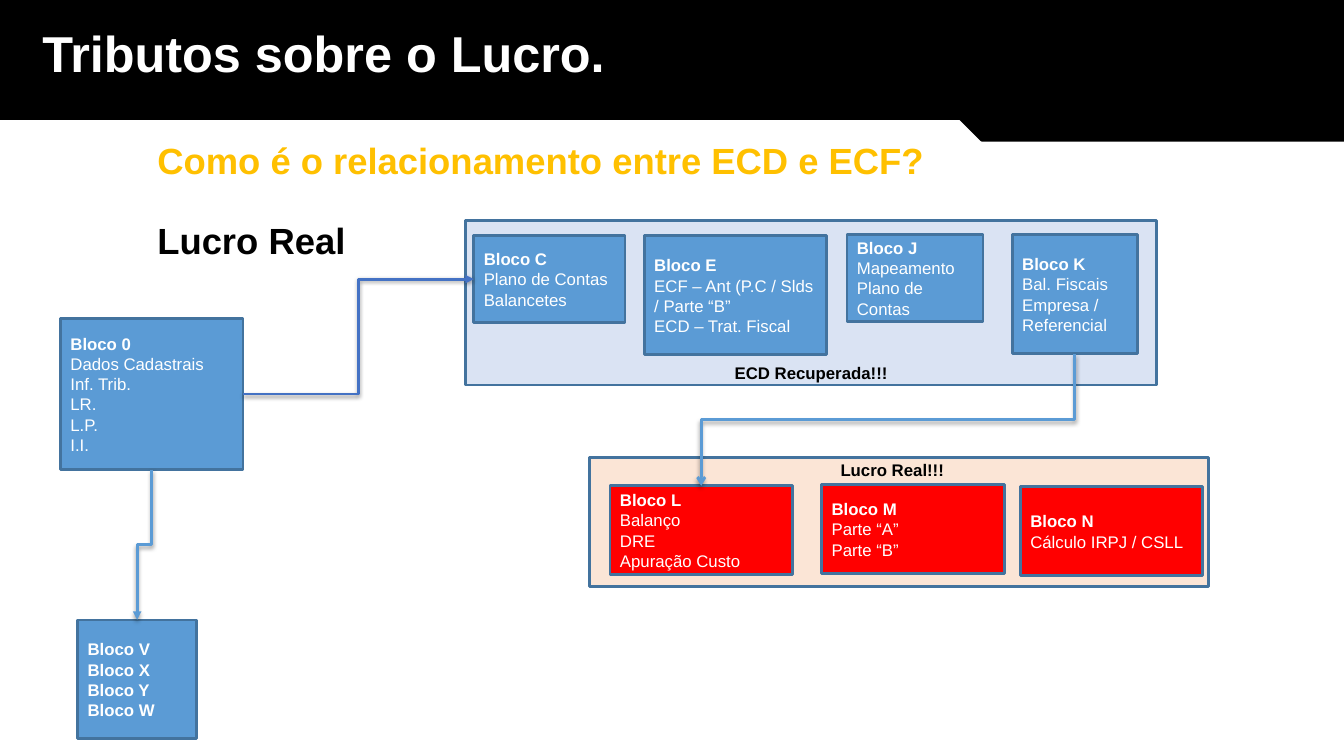
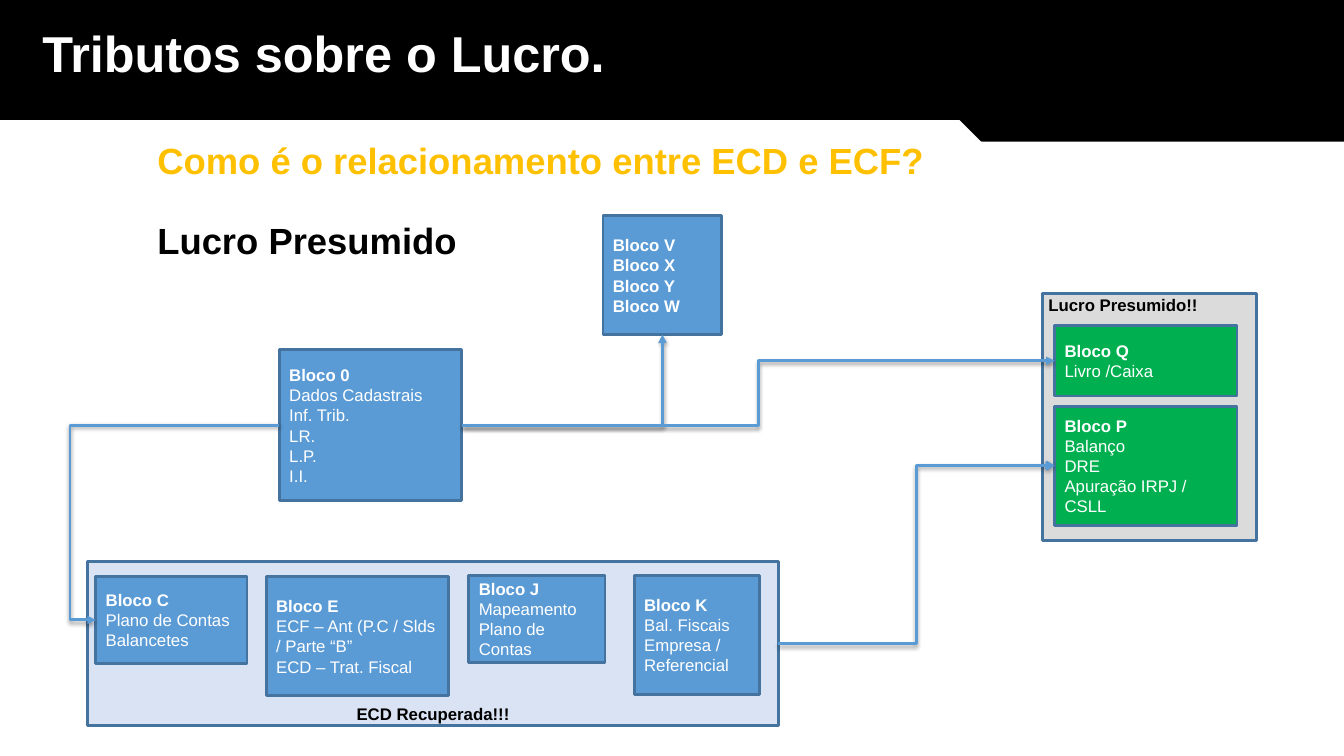
from dataclasses import dataclass

from lxml.etree import SubElement
from pptx import Presentation
from pptx.dml.color import RGBColor
from pptx.enum.shapes import MSO_CONNECTOR, MSO_SHAPE
from pptx.enum.text import MSO_ANCHOR as Anchor, MSO_AUTO_SIZE, PP_ALIGN as Align
from pptx.oxml.ns import qn
from pptx.util import Inches, Pt

TOP, LEFT, BOTTOM, RIGHT = range(4)  # connection sites of a rectangle


@dataclass(frozen=True)
class Theme:
    font: str = "Arial"
    black: str = "000000"
    white: str = "FFFFFF"
    gold: str = "FFC000"
    blue: str = "5B9BD5"
    royal: str = "4472C4"
    outline: str = "43739E"
    pale_blue: str = "DAE3F3"
    peach: str = "FBE5D6"
    gray: str = "DBDBDB"
    red: str = "FF0000"
    green: str = "00B050"
    title_size: int = 36
    subtitle_size: int = 26
    block_size: int = 12
    line: int = 2


THEME = Theme()
BLOCK_WIDTH = 1.81
REGISTRATION = ["Bloco 0", "Dados Cadastrais", "Inf. Trib.", "LR.", "L.P.", "I.I."]
OTHER_BLOCKS = ["Bloco V", "Bloco X", "Bloco Y", "Bloco W"]
# Offset inside the panel, size and lines of each recovered block
RECOVERED = [
    (0.08, 0.15, 1.5, 0.86, ["Bloco C", "Plano de Contas", "Balancetes"]),
    (1.77, 0.15, BLOCK_WIDTH, 1.18,
     ["Bloco E", "ECF – Ant (P.C / Slds / Parte “B”", "ECD – Trat. Fiscal"]),
    (3.78, 0.14, 1.35, 0.86, ["Bloco J", "Mapeamento Plano de Contas"]),
    (5.42, 0.14, 1.24, 1.18, ["Bloco K", "Bal. Fiscais", "Empresa / Referencial"]),
]


def place(shape, left, top, width, height):
    shape.left, shape.top = Inches(left), Inches(top)
    shape.width, shape.height = Inches(width), Inches(height)


def style(para, size, color, bold=True, align=Align.LEFT):
    para.alignment = align
    for span in para.runs:
        span.font.name = THEME.font
        span.font.size = Pt(size)
        span.font.bold = bold
        span.font.color.rgb = RGBColor.from_string(color)


def add_box(page, left, top, width, height, fill, line=THEME.outline, kind=MSO_SHAPE.RECTANGLE):
    box = page.shapes.add_shape(kind, *map(Inches, (left, top, width, height)))
    box.shadow.inherit = False
    box.fill.solid()
    box.fill.fore_color.rgb = RGBColor.from_string(fill)
    box.line.color.rgb = RGBColor.from_string(line)
    box.line.width = Pt(THEME.line)
    return box


def add_block(page, left, top, width, height, lines, fill=THEME.blue, bold_lines=1):
    box = add_box(page, left, top, width, height, fill)
    frame = box.text_frame
    frame.word_wrap = True
    frame.vertical_anchor = Anchor.MIDDLE
    frame.margin_top = frame.margin_bottom = 0
    frame.text = "\n".join(lines)
    for index, para in enumerate(frame.paragraphs):
        style(para, THEME.block_size, THEME.white, bold=index < bold_lines)
    return box


def add_other_blocks(page, left, top):
    return add_block(page, left, top, 1.18, 1.18, OTHER_BLOCKS, bold_lines=len(OTHER_BLOCKS))


def add_label(page, left, top, width, text, align):
    box = page.shapes.add_textbox(*map(Inches, (left, top, width, 0.3)))
    box.text_frame.word_wrap = True
    box.text_frame.text = text
    style(box.text_frame.paragraphs[0], THEME.block_size, THEME.black, align=align)


def add_recovered_panel(page, left, top):
    """Draw the recovered ECD panel; return the panel and its blocks."""
    panel = add_box(page, left, top, 6.85, 1.63, THEME.pale_blue)
    frame = panel.text_frame
    frame.vertical_anchor = Anchor.BOTTOM
    frame.margin_bottom = Inches(0.02)
    frame.text = "ECD Recuperada!!!"
    style(frame.paragraphs[0], THEME.block_size, THEME.black, align=Align.CENTER)
    blocks = [add_block(page, left + dx, top + dy, width, height, lines)
              for dx, dy, width, height, lines in RECOVERED]
    return panel, blocks


def turn_quarter(link):
    """Make an elbow that runs down and to the left leave vertically."""
    across, down = link.width, link.height
    center_x, center_y = link.left + across // 2, link.top + down // 2
    link.left, link.top = center_x - down // 2, center_y - across // 2
    link.width, link.height = down, across
    xfrm = link.element.spPr.find(qn("a:xfrm"))
    xfrm.attrib.pop("flipH", None)
    xfrm.set("rot", "5400000")


def add_shadow(link):
    effects = SubElement(link.element.spPr, qn("a:effectLst"))
    shadow = SubElement(effects, qn("a:outerShdw"), blurRad=str(Pt(3.1)),
                        dist=str(Pt(1.6)), dir="5400000", rotWithShape="0")
    color = SubElement(shadow, qn("a:srgbClr"), val=THEME.black)
    SubElement(color, qn("a:alpha"), val="38000")


def connect(page, source, source_side, target, target_side,
            color=THEME.blue, head="triangle", bend=None, single=False):
    """Join two boxes; bend is the share of the width at which the elbow turns."""
    link = page.shapes.add_connector(MSO_CONNECTOR.ELBOW, source.left, source.top,
                                     target.left, target.top)
    link.begin_connect(source, source_side)
    link.end_connect(target, target_side)
    if source_side == BOTTOM:
        turn_quarter(link)
    geometry = link.element.spPr.find(qn("a:prstGeom"))
    if single:
        geometry.set("prst", "bentConnector2")
    if bend is not None:
        SubElement(geometry.find(qn("a:avLst")), qn("a:gd"),
                   name="adj1", fmla=f"val {round(bend * 100000)}")
    link.line.color.rgb = RGBColor.from_string(color)
    link.line.width = Pt(THEME.line)
    SubElement(link.element.spPr.find(qn("a:ln")), qn("a:tailEnd"), type=head)
    add_shadow(link)


def prepare_layout(layout):
    for holder in list(layout.placeholders):
        if holder.placeholder_format.idx > 1:
            holder.element.getparent().remove(holder.element)
    title, subtitle = layout.placeholders
    place(title, 0.32, 0.31, 10, 0.56)
    place(subtitle, 0.96, 1.37, 11.44, 5.55)


def move_bands_to_layout(page):
    """Draw the black header once and hand it to the layout."""
    bands = [
        add_box(page, 0, 0, 13.33, 1.19, THEME.black, THEME.black),
        add_box(page, 9.51, 0.03, 3.82, 1.36, THEME.black, THEME.black,
                MSO_SHAPE.SNIP_1_RECTANGLE),
    ]
    bands[0].line.fill.background()
    bands[1].rotation = 180
    for band in bands:
        page.slide_layout.shapes.element.insert(2, band.element)


def add_page(deck, regime):
    page = deck.slides.add_slide(deck.slide_layouts[0])
    title, subtitle = page.placeholders
    title.text_frame.text = "Tributos sobre o Lucro."
    title.text_frame.vertical_anchor = Anchor.BOTTOM
    title.text_frame.auto_size = MSO_AUTO_SIZE.NONE
    style(title.text_frame.paragraphs[0], THEME.title_size, THEME.white)

    frame = subtitle.text_frame
    frame.text = f"Como é o relacionamento entre ECD e ECF?\n{regime}"
    frame.auto_size = MSO_AUTO_SIZE.NONE
    for para, color, gap in zip(frame.paragraphs, (THEME.gold, THEME.black), (0, 29)):
        para.level = 1
        para.line_spacing = 0.9
        para.space_before = Pt(gap)
        style(para, THEME.subtitle_size, color, align=Align.JUSTIFY)
    return page


def draw_real_profit(page):
    _, (block_c, _, _, block_k) = add_recovered_panel(page, 4.62, 2.19)
    registration = add_block(page, 0.6, 3.16, BLOCK_WIDTH, 1.5, REGISTRATION)
    add_box(page, 5.85, 4.54, 6.14, 1.28, THEME.peach)
    block_l, _, _ = [
        add_block(page, left, top, BLOCK_WIDTH, 0.88, lines, THEME.red)
        for left, top, lines in (
            (6.05, 4.82, ["Bloco L", "Balanço", "DRE", "Apuração Custo"]),
            (8.15, 4.81, ["Bloco M", "Parte “A”", "Parte “B”"]),
            (10.12, 4.83, ["Bloco N", "Cálculo IRPJ / CSLL"]),
        )
    ]
    add_label(page, 7.89, 4.51, 1.92, "Lucro Real!!!", Align.CENTER)
    others = add_other_blocks(page, 0.77, 6.15)
    connect(page, registration, RIGHT, block_c, LEFT, color=THEME.royal)
    connect(page, registration, BOTTOM, others, TOP)
    connect(page, block_k, BOTTOM, block_l, TOP, head="arrow")


def draw_presumed_profit(page):
    panel, (block_c, *_) = add_recovered_panel(page, 0.87, 5.57)
    registration = add_block(page, 2.77, 3.47, BLOCK_WIDTH, 1.5, REGISTRATION)
    add_box(page, 10.34, 2.91, 2.12, 2.45, THEME.gray)
    block_p = add_block(page, 10.46, 4.03, BLOCK_WIDTH, 1.18,
                        ["Bloco P", "Balanço", "DRE", "Apuração IRPJ / CSLL"], THEME.green)
    block_q = add_block(page, 10.46, 3.23, BLOCK_WIDTH, 0.7,
                        ["Bloco Q", "Livro /Caixa"], THEME.green)
    add_label(page, 10.3, 2.87, 2.15, "Lucro Presumido!!", Align.LEFT)
    others = add_other_blocks(page, 5.98, 2.14)
    connect(page, registration, LEFT, block_c, LEFT, bend=1.14)
    connect(page, registration, RIGHT, others, BOTTOM, single=True)
    connect(page, registration, RIGHT, block_q, LEFT)
    connect(page, panel, RIGHT, block_p, LEFT, head="arrow")


def main():
    deck = Presentation()
    deck.slide_width, deck.slide_height = Inches(13.33), Inches(7.5)
    prepare_layout(deck.slide_layouts[0])
    real_page = add_page(deck, "Lucro Real")
    move_bands_to_layout(real_page)
    draw_real_profit(real_page)
    draw_presumed_profit(add_page(deck, "Lucro Presumido"))
    deck.save("out.pptx")


if __name__ == "__main__":
    main()
